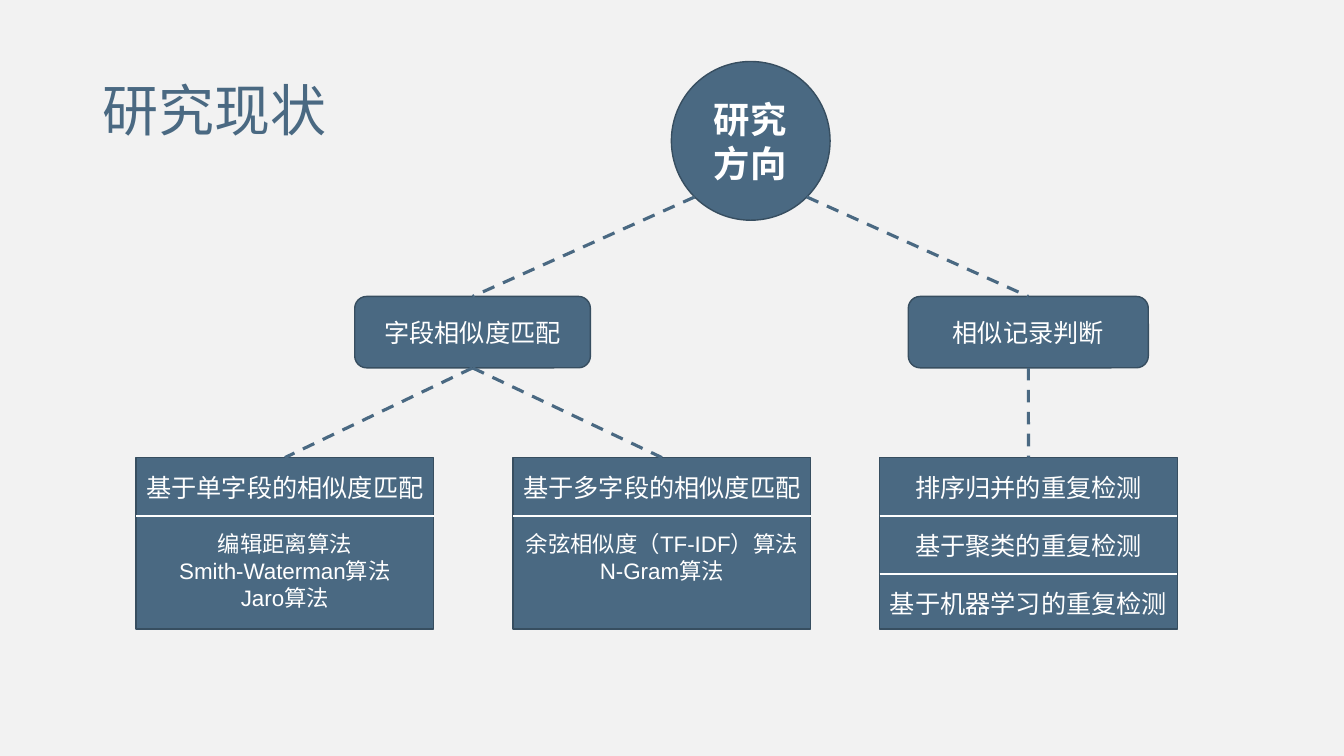
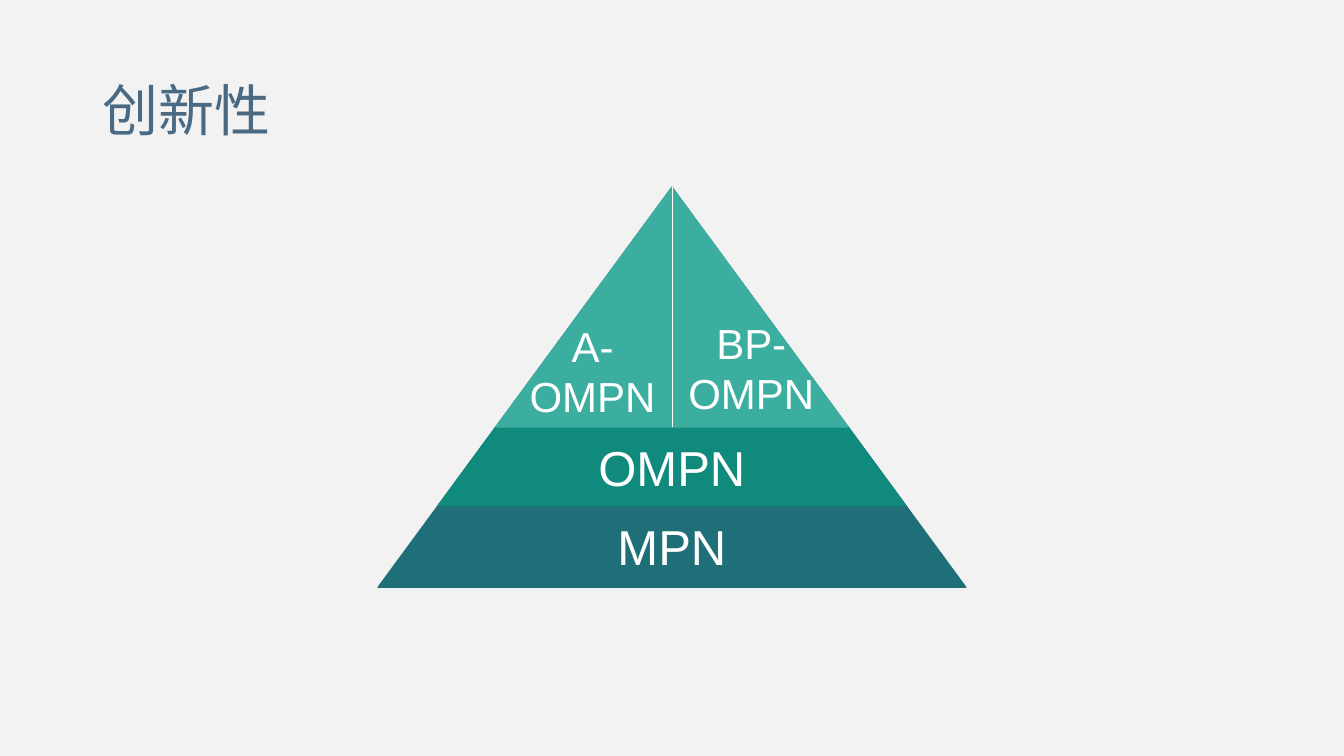
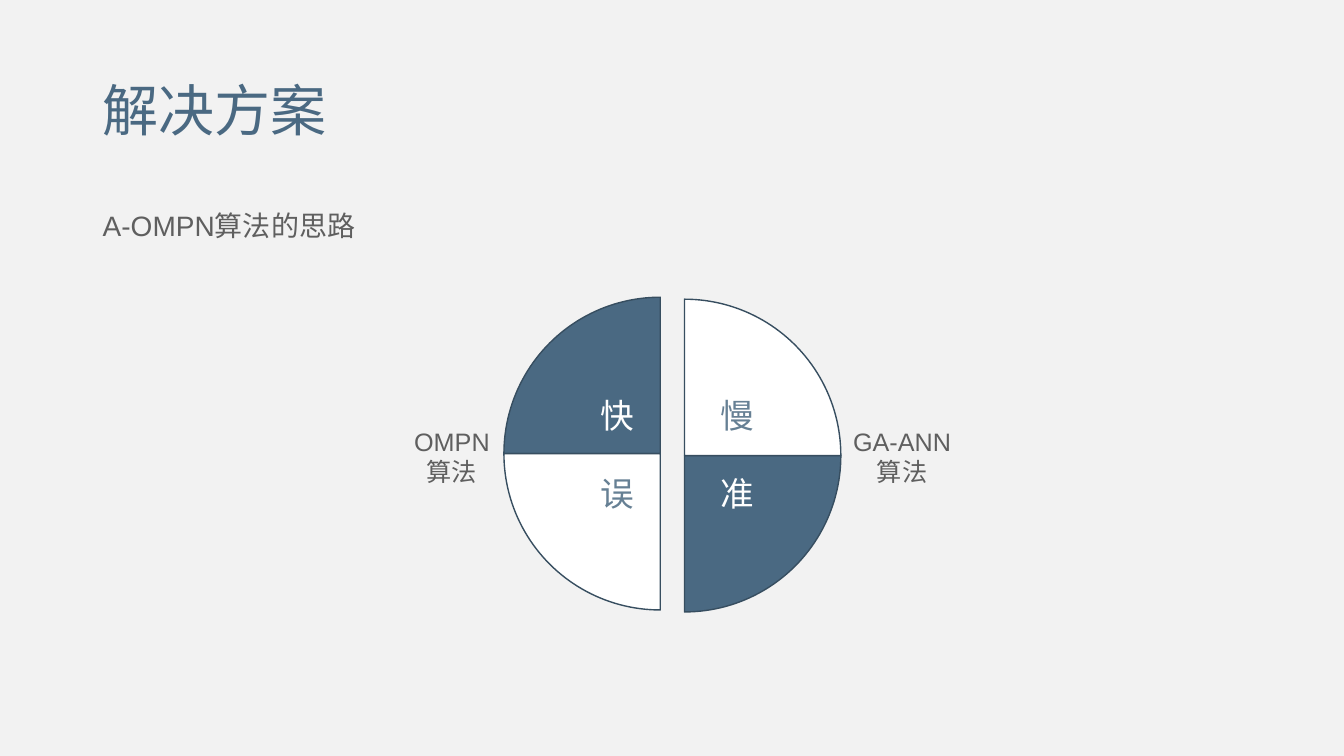
from math import sqrt

from lxml import etree
from pptx import Presentation
from pptx.dml.color import RGBColor
from pptx.enum.dml import MSO_LINE
from pptx.enum.shapes import MSO_CONNECTOR, MSO_SHAPE
from pptx.enum.text import MSO_ANCHOR, MSO_AUTO_SIZE, PP_ALIGN
from pptx.oxml.ns import qn
from pptx.util import Cm, Pt

STRAIGHT = MSO_CONNECTOR.STRAIGHT
DASH = MSO_LINE.DASH
ELLIPSE = MSO_SHAPE.OVAL
ROUNDED = MSO_SHAPE.ROUNDED_RECTANGLE
RECTANGLE = MSO_SHAPE.RECTANGLE
TRIANGLE = MSO_SHAPE.ISOSCELES_TRIANGLE
TRAPEZOID = MSO_SHAPE.TRAPEZOID
PIE = MSO_SHAPE.PIE
CENTER, LEFT = PP_ALIGN.CENTER, PP_ALIGN.LEFT
MIDDLE, TOP = MSO_ANCHOR.MIDDLE, MSO_ANCHOR.TOP
GROW, FIXED = MSO_AUTO_SIZE.SHAPE_TO_FIT_TEXT, MSO_AUTO_SIZE.NONE

FONT = "Arial"
BLUE, EDGE, PALE_BLUE = "4A6982", "374E60", "668094"
WHITE, GRAY, BACKGROUND = "FFFFFF", "5F5F5F", "F2F2F2"
TEAL_DARK, TEAL, TEAL_LIGHT = "1F6F78", "108A7D", "3BAE9F"

SLIDE_WIDTH, SLIDE_HEIGHT = 33.87, 19.05
TITLE_BOX = (2.34, 1.02, 29.21, 3.68)
BODY_BOX = (2.34, 4.7, 30.6, 11.56)


def paint(color_holder, color):
    """Give a fill or a line a solid colour."""
    fill = getattr(color_holder, "fill", color_holder)
    fill.solid()
    fill.fore_color.rgb = RGBColor.from_string(color)


def write(shape, lines, size, color, align=CENTER, anchor=MIDDLE, bold=False,
          spacing=0, auto_size=FIXED, **para_format):
    """Write paragraphs of one style into a shape."""
    frame = shape.text_frame
    frame_format = {"word_wrap": True, "auto_size": auto_size, "vertical_anchor": anchor}
    for name, value in frame_format.items():
        setattr(frame, name, value)
    frame.text = "\n".join(lines)
    for para in frame.paragraphs:
        for name, value in {"alignment": align, **para_format}.items():
            setattr(para, name, value)
        for span in para.runs:
            for name, value in {"name": FONT, "size": Pt(size), "bold": bold}.items():
                setattr(span.font, name, value)
            span.font.color.rgb = RGBColor.from_string(color)
            properties = span.font.fill._xPr
            properties.set("lang", "zh-CN")
            if spacing:
                properties.set("spc", str(int(spacing * 100)))


def add_text(shapes, box, lines, size, color, **style):
    """Add a text box."""
    label = shapes.add_textbox(*map(Cm, box))
    write(label, lines, size, color, **style)
    return label


def add_label(shapes, box, lines, size, color=WHITE):
    """Add a centred text box that grows with its text."""
    return add_text(shapes, box, lines, size, color, anchor=TOP, auto_size=GROW)


def add_block(shapes, kind, box, fill=BLUE, edge=EDGE):
    """Add a filled preset shape with a thin outline."""
    block = shapes.add_shape(kind, *map(Cm, box))
    block.shadow.inherit = False
    paint(block.fill, fill)
    paint(block.line, edge)
    block.line.width = Pt(1)
    return block


def add_line(shapes, start, end, color, width, dash=None):
    """Add a straight line between two points."""
    line = shapes.add_connector(STRAIGHT, *map(Cm, (*start, *end)))
    paint(line.line, color)
    line.line.width = Pt(width)
    if dash:
        line.line.dash_style = dash
    etree.SubElement(line._element.spPr, qn("a:effectLst"))
    return line


def add_page(deck, title):
    """Add a blank page with the shared title."""
    page = deck.slides.add_slide(deck.slide_layouts[6])
    add_text(page.shapes, TITLE_BOX, [title], 40, BLUE, align=LEFT, line_spacing=0.9)
    return page


def add_card(page, box, rows):
    """Add a card of rows, each a list of lines, parted by white lines."""
    left, top, width, height = box
    pitch = 1.47
    shapes = page.shapes.add_group_shape().shapes
    card = add_block(shapes, RECTANGLE, box)
    for index, lines in enumerate(rows):
        row_top = top + index * pitch
        if index:
            add_line(shapes, (left, row_top), (left + width, row_top), WHITE, 1.5)
        size, row_height = (18, 1.02) if len(lines[0]) and len(rows) == 3 or not index else (16, 2.31)
        add_label(shapes, (left, row_top + 0.24, width, row_height), lines, size)
    return card


def add_tree(page, box):
    """Draw the research directions from the root down to the cards."""
    left, top, _, height = box
    shapes = page.shapes
    diameter = 4
    root_left = left + 13.49
    root = add_block(shapes, ELLIPSE, (root_left, top, diameter, diameter))
    write(root, ["研究方向"], 26, WHITE, bold=True, spacing=0.5)

    branches = []
    for offset, width, name in ((5.51, 5.94, "字段相似度匹配"), (19.46, 6.05, "相似记录判断")):
        branch = add_block(shapes, ROUNDED, (left + offset, top + 5.92, width, 1.8))
        write(branch, [name], 18, WHITE)
        branches.append(branch)

    card_height = 4.32
    cards = [
        (0, 0, [["基于单字段的相似度匹配"],
                ["编辑距离算法", "Smith-Waterman算法", "Jaro算法"]]),
        (9.5, 0, [["基于多字段的相似度匹配"],
                  ["余弦相似度（TF-IDF）算法N-Gram算法"]]),
        (18.74, 1, [["排序归并的重复检测"], ["基于聚类的重复检测"],
                    ["基于机器学习的重复检测"]]),
    ]
    links = []
    for offset, parent, rows in cards:
        card_box = (left + offset, top + height - card_height, 7.5, card_height)
        links.append((branches[parent], add_card(page, card_box, rows)))

    radius = diameter / 2
    reach = radius / sqrt(2)
    for side, branch in zip((-1, 1), branches):
        start = (root_left + radius + side * reach, top + radius + reach)
        line = add_line(shapes, start, start, BLUE, 2.25, DASH)
        line.end_connect(branch, 0)
    for branch, card in links:
        line = add_line(shapes, (left, top), (left, top), BLUE, 2.25, DASH)
        line.begin_connect(branch, 2)
        line.end_connect(card, 0)


def add_pyramid(page, box):
    """Draw a pyramid of two bands under a split tip."""
    left, top, width, height = box
    shapes = page.shapes.add_group_shape().shapes
    center = left + width / 2
    slope = width / 2 / height
    tip, band = 6.04, 1.98

    def centered(depth, offset, band_height):
        """Return the box as wide as the pyramid at a depth."""
        return (center - slope * depth, top + offset, 2 * slope * depth, band_height)

    add_block(shapes, TRIANGLE, box, TEAL_DARK, TEAL_DARK)
    middle = add_block(shapes, TRAPEZOID, centered(tip + band, tip, band), TEAL, TEAL)
    middle.adjustments[0] = slope
    add_block(shapes, TRIANGLE, centered(tip, 0, tip), TEAL_LIGHT, TEAL_LIGHT)

    half = 4
    for offset, name in ((8.18, "MPN"), (6.17, "OMPN")):
        add_label(shapes, (center - half, top + offset, 2 * half, 1.75), [name], 35)
    for start, offset, name in ((center - half, 3.23, "A-OMPN"), (center, 3.15, "BP-OMPN")):
        add_label(shapes, (start, top + offset, half, 2.82), [name], 30)
    add_line(shapes, (center, top), (center, top + tip), WHITE, 0.5)


def add_quarters(page, box):
    """Draw two half discs of quarters, with their words and side labels."""
    left, top, width, height = box
    shapes = page.shapes.add_group_shape().shapes
    size, shift = 7.88, 0.05
    disc_left = left + 2.62
    gap = 0.61
    word_left, word_top, word_width, word_height = disc_left + 1.85, top + 2.34, 2, 1.27
    quarters = (
        (0, 0, 0, BLUE, WHITE, "快"),
        (1, 1, 180, BLUE, WHITE, "准"),
        (1, 0, 90, WHITE, PALE_BLUE, "慢"),
        (0, 1, 270, WHITE, PALE_BLUE, "误"),
    )
    for column, row, rotation, fill, color, word in quarters:
        place = (disc_left + column * gap, top + column * shift, size, size)
        quarter = add_block(shapes, PIE, place, fill)
        quarter.adjustments[0] = 108
        quarter.adjustments[1] = 162
        quarter.rotation = rotation
        word_box = (word_left + column * 3.03, word_top + row * 1.96, word_width, word_height)
        add_label(shapes, word_box, [word], 24, color)

    right_width = 3.05
    label_top = top + 3.13
    add_label(shapes, (left, label_top, 2.62, 1.8), ["OMPN算法"], 18, GRAY)
    add_label(shapes, (left + width - right_width, label_top, right_width, 1.8),
              ["GA-ANN算法"], 18, GRAY)


def main():
    """Build and save the deck."""
    deck = Presentation()
    deck.slide_width, deck.slide_height = Cm(SLIDE_WIDTH), Cm(SLIDE_HEIGHT)
    paint(deck.slide_master.background, BACKGROUND)

    add_tree(add_page(deck, "研究现状"), (3.43, 1.55, 26.24, 14.3))
    add_pyramid(add_page(deck, "创新性"), (9.53, 4.72, 14.81, 10.08))

    solution = add_page(deck, "解决方案")
    add_text(solution.shapes, BODY_BOX, ["A-OMPN算法的思路"], 20, GRAY, align=LEFT,
             anchor=TOP, line_spacing=1.5, space_before=Pt(10))
    add_quarters(solution, (10.08, 7.49, 14.18, 7.93))

    deck.save("out.pptx")


if __name__ == "__main__":
    main()
